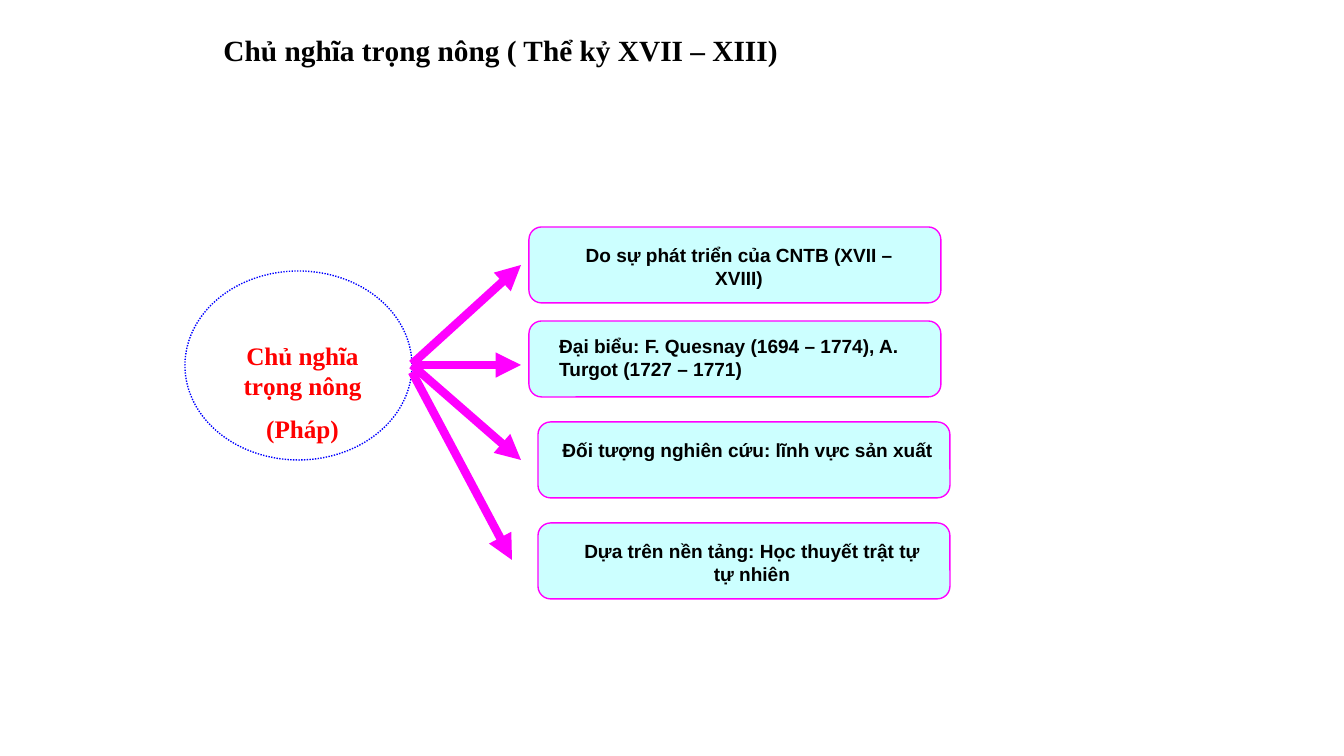
"""Build the slide on physiocracy: one central idea with arrows to four boxes."""
import pptx
import pptx.dml.color
import pptx.enum.dml
import pptx.enum.shapes
import pptx.enum.text
import pptx.oxml
import pptx.oxml.ns
import pptx.util

ALIGN = pptx.enum.text.PP_ALIGN
SHAPE = pptx.enum.shapes.MSO_SHAPE
EMU_PER_PX = 914400 / 134.4
SLIDE_SIZE = (1344, 756)

THEME = {
    "serif": "Times New Roman", "sans": "Arial",
    "title_size": 15.7, "idea_size": 13.5, "point_size": 10.2,
    "ink": "000000", "idea": "FF0000", "paper": "FFFFFF",
    "box": "CCFFFF", "accent": "FF00FF", "ring": "0000FF",
    "outline": 0.75, "arrow": 4.5,
}

TITLE = "Chủ nghĩa trọng nông ( Thể kỷ XVII – XIII)"
TITLE_AREA = (210, 25, 743, 50)
IDEA = ["Chủ nghĩa trọng nông", "(Pháp)"]
IDEA_RING = (185, 271, 227, 189)
IDEA_AREA = (210, 334, 185, 121)
BOX_SIZE = (412, 76)
POINTS = [
    {"text": "Do sự phát triển của CNTB (XVII – XVIII)", "align": ALIGN.CENTER,
     "box": (529, 227), "area": (554, 237, 370, 59), "arrow": (412, 364, 521, 265)},
    {"text": "Đại biểu: F. Quesnay (1694 – 1774), A. Turgot (1727 – 1771)", "align": ALIGN.LEFT,
     "box": (529, 321), "area": (546, 328, 386, 59), "arrow": (412, 365, 521, 365)},
    {"text": "Đối tượng nghiên cứu: lĩnh vực sản xuất", "align": ALIGN.CENTER,
     "box": (538, 422), "area": (546, 432, 403, 36), "arrow": (412, 365, 521, 460)},
    {"text": "Dựa trên nền tảng: Học thuyết trật tự tự nhiên", "align": ALIGN.CENTER,
     "box": (538, 523), "area": (563, 533, 378, 59), "arrow": (412, 372, 512, 560)},
]


def px(*lengths):
    return [pptx.util.Emu(round(length * EMU_PER_PX)) for length in lengths]


def color(name):
    return pptx.dml.color.RGBColor.from_string(THEME[name])


def write(frame, texts, font, size, ink, align):
    frame.word_wrap = True
    frame.auto_size = pptx.enum.text.MSO_AUTO_SIZE.NONE
    frame.vertical_anchor = pptx.enum.text.MSO_ANCHOR.TOP
    for index, text in enumerate(texts):
        paragraph = frame.add_paragraph() if index else frame.paragraphs[0]
        paragraph.alignment = align
        paragraph.space_before = pptx.util.Pt(THEME[size] / 2 if index else 0)
        run = paragraph.add_run()
        run.text = text
        run.font.name = THEME[font]
        run.font.size = pptx.util.Pt(THEME[size])
        run.font.bold = True
        run.font.color.rgb = color(ink)


def add_outlined(slide, kind, area, fill, line):
    shape = slide.shapes.add_shape(kind, *px(*area))
    shape.shadow.inherit = False
    shape.fill.solid()
    shape.fill.fore_color.rgb = color(fill)
    shape.line.color.rgb = color(line)
    shape.line.width = pptx.util.Pt(THEME["outline"])
    return shape


def add_arrow(slide, ends):
    arrow = slide.shapes.add_connector(pptx.enum.shapes.MSO_CONNECTOR.STRAIGHT, *px(*ends))
    arrow.line.color.rgb = color("accent")
    arrow.line.width = pptx.util.Pt(THEME["arrow"])
    namespace = pptx.oxml.ns.nsdecls("a")
    arrow.line._get_or_add_ln().append(
        pptx.oxml.parse_xml(f'<a:tailEnd {namespace} type="triangle"/>'))
    arrow._element.spPr.append(pptx.oxml.parse_xml(f"<a:effectLst {namespace}/>"))


def main():
    presentation = pptx.Presentation()
    presentation.slide_width, presentation.slide_height = px(*SLIDE_SIZE)
    slide = presentation.slides.add_slide(presentation.slide_layouts[5])

    title = slide.shapes.title
    title.left, title.top, title.width, title.height = px(*TITLE_AREA)
    write(title.text_frame, [TITLE], "serif", "title_size", "ink", ALIGN.LEFT)

    for point in POINTS:
        add_outlined(slide, SHAPE.ROUNDED_RECTANGLE, point["box"] + BOX_SIZE, "box", "accent")
        label = slide.shapes.add_textbox(*px(*point["area"]))
        write(label.text_frame, [point["text"]], "sans", "point_size", "ink", point["align"])

    ring = add_outlined(slide, SHAPE.OVAL, IDEA_RING, "paper", "ring")
    ring.line.dash_style = pptx.enum.dml.MSO_LINE.ROUND_DOT
    idea = slide.shapes.add_textbox(*px(*IDEA_AREA))
    write(idea.text_frame, IDEA, "serif", "idea_size", "idea", ALIGN.CENTER)

    for point in POINTS:
        add_arrow(slide, point["arrow"])

    presentation.save("out.pptx")


if __name__ == "__main__":
    main()
